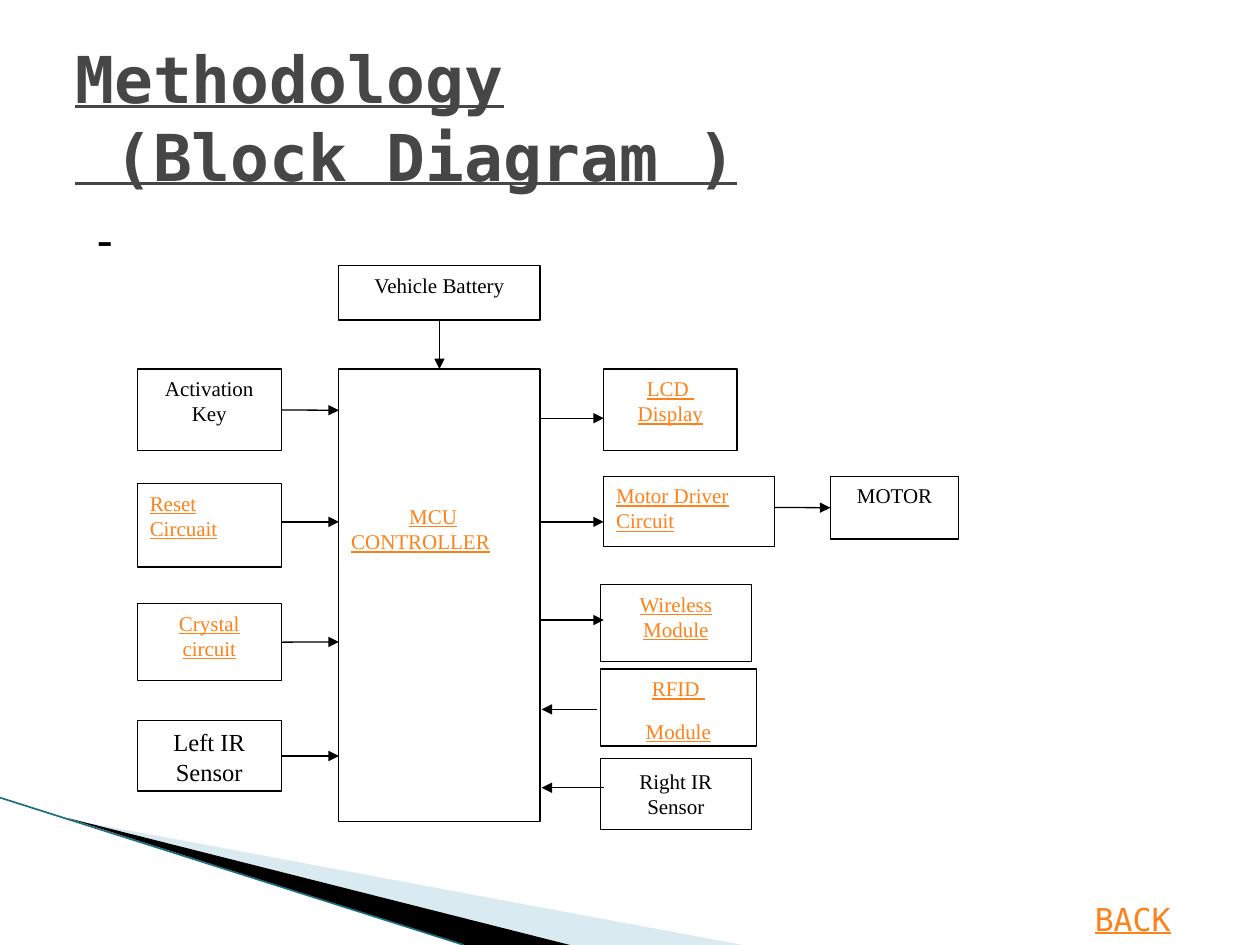
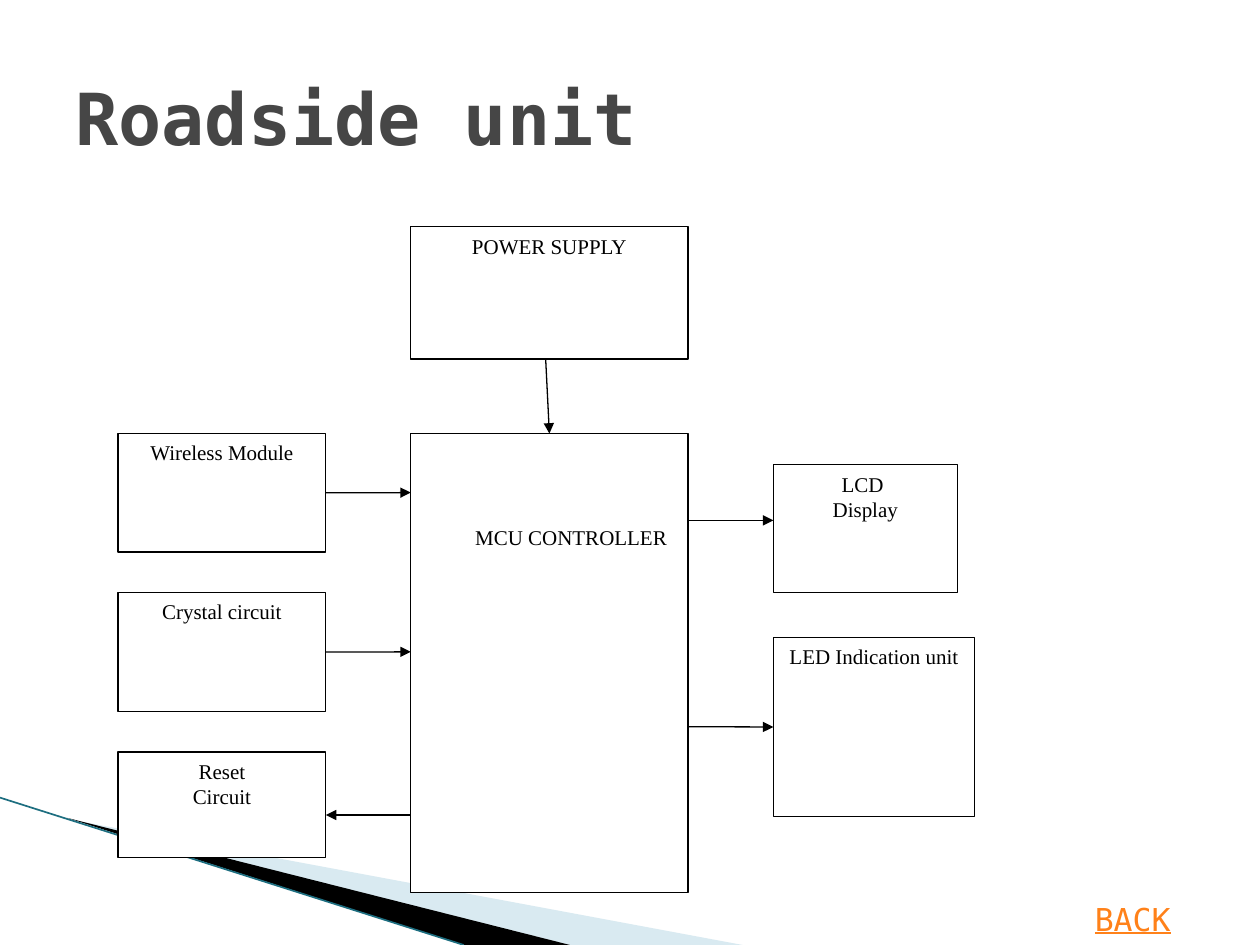
from dataclasses import dataclass

from lxml import etree
from pptx import Presentation
from pptx import util as u
from pptx.dml.color import RGBColor
from pptx.enum import shapes, text
from pptx.oxml.ns import qn

TOP, LEFT, BOTTOM, RIGHT = range(4)


@dataclass(frozen=True)
class Theme:
    ink: str = "000000"
    paper: str = "FFFFFF"
    heading: str = "464646"
    accent: str = "FF8119"
    band_light: str = "A0CBDC"
    band_edge: str = "1D6E80"
    mono: str = "DejaVu Sans Mono"
    serif: str = "Times New Roman"
    title_size: float = 41
    long_title_size: float = 36.9
    dash_size: float = 27
    back_size: float = 18
    sensor_size: float = 14
    label_size: float = 12
    line_width: float = 0.75
    hairline: float = 0.25
    edge_width: float = 0.95


THEME = Theme()
LINKED = dict(color=THEME.accent, underline=True)
CONTROLLER = "MCU CONTROLLER"


def lengths(*values):
    return [u.Cm(value) for value in values]


def write(frame, words, font=THEME.serif, size=THEME.label_size, color=THEME.ink,
          bold=False, underline=False, align=text.PP_ALIGN.LEFT,
          anchor=text.MSO_ANCHOR.TOP, after=0, indent=0, inset_top=0.13):
    frame.word_wrap = True
    frame.vertical_anchor = anchor
    frame.margin_left = frame.margin_right = u.Cm(0.25)
    frame.margin_top, frame.margin_bottom = lengths(inset_top, 0.13)
    for number, line in enumerate(words.split("\n")):
        para = frame.add_paragraph() if number else frame.paragraphs[0]
        para.alignment = align
        para.space_after = u.Pt(after)
        if indent:
            para._p.get_or_add_pPr().set("indent", str(u.Cm(indent)))
        span = para.add_run()
        span.text = line
        span.font.name = font
        span.font.size = u.Pt(size)
        span.font.bold = bold
        span.font.underline = underline
        span.font.color.rgb = RGBColor.from_string(color)


def add_label(page, place, words, **style):
    box = page.shapes.add_textbox(*lengths(*place))
    write(box.text_frame, words, font=THEME.mono, **style)


def add_title(page, words, **style):
    add_label(page, (1.27, 0.76, 22.86, 3.18), words, color=THEME.heading,
              bold=True, anchor=text.MSO_ANCHOR.MIDDLE, **style)


def add_block(page, place, words, width=THEME.line_width,
              align=text.PP_ALIGN.CENTER, **style):
    box = page.shapes.add_shape(shapes.MSO_SHAPE.RECTANGLE, *lengths(*place))
    box.shadow.inherit = False
    box.fill.solid()
    box.fill.fore_color.rgb = RGBColor.from_string(THEME.paper)
    box.line.color.rgb = RGBColor.from_string(THEME.ink)
    box.line.width = u.Pt(width)
    write(box.text_frame, words, align=align, **style)
    return box


def add_line(page, start, end, color=THEME.ink, width=THEME.line_width):
    line = page.shapes.add_connector(
        shapes.MSO_CONNECTOR.STRAIGHT, *lengths(*start, *end))
    line.line.color.rgb = RGBColor.from_string(color)
    line.line.width = u.Pt(width)
    etree.SubElement(line._element.spPr, qn("a:effectLst"))
    return line


def add_arrow(page, start, end):
    joins = {}
    points = []
    for name, place in (("begin", start), ("end", end)):
        if isinstance(place[0], (int, float)):
            points.append(place)
        else:
            joins[name] = place
            points.append((0, 0))
    arrow = add_line(page, *points)
    if "begin" in joins:
        arrow.begin_connect(*joins["begin"])
    if "end" in joins:
        arrow.end_connect(*joins["end"])
    etree.SubElement(arrow.line._get_or_add_ln(), qn("a:tailEnd"), type="triangle")


def add_wedge(page, points, color, opacity=100):
    first, *others = [tuple(lengths(*point)) for point in points]
    builder = page.shapes.build_freeform(*first)
    builder.add_line_segments(others, close=True)
    wedge = builder.convert_to_shape()
    wedge.shadow.inherit = False
    wedge.line.fill.background()
    wedge.fill.solid()
    wedge.fill.fore_color.rgb = RGBColor.from_string(color)
    if opacity < 100:
        tone = wedge._element.spPr.find(qn("a:solidFill"))[0]
        etree.SubElement(tone, qn("a:alpha"), val=str(opacity * 1000))


def add_page(deck, title, **style):
    page = deck.slides.add_slide(deck.slide_layouts[6])
    add_wedge(page, [(1.4, 16.52), (14.97, 19.05), (11.49, 19.05)],
              THEME.band_light, opacity=40)
    add_wedge(page, [(1.36, 16.49), (11.49, 19.05), (9.35, 19.05)], THEME.ink)
    add_line(page, (0, 16.08), (9.35, 19.05), THEME.band_edge, THEME.edge_width)
    add_title(page, title, **style)
    add_label(page, (21.82, 18.02, 3.58, 1.02), "BACK", size=THEME.back_size, **LINKED)
    return page


def add_vehicle_unit(deck):
    page = add_page(deck, "Methodology\n (Block Diagram )",
                    size=THEME.long_title_size, underline=True)
    add_label(page, (1.58, 4.11, 2, 1.4), "-", size=THEME.dash_size)

    left, width, core_left, core_right = 2.77, 2.9, 6.83, 10.89
    controller = add_block(page, (core_left, 7.44, 4.06, 9.12), CONTROLLER,
                           align=text.PP_ALIGN.LEFT, indent=1.17, inset_top=2.71,
                           **LINKED)
    battery = add_block(page, (core_left, 5.36, 4.06, 1.09), "Vehicle Battery")
    key = add_block(page, (left, 7.44, width, 1.65), "Activation\nKey")
    add_block(page, (left, 9.75, width, 1.68), "Reset Circuait",
              align=text.PP_ALIGN.LEFT, **LINKED)
    crystal = add_block(page, (left, 12.17, width, 1.55), "Crystal circuit", **LINKED)
    left_sensor = add_block(page, (left, 14.53, width, 1.42), "Left IR Sensor",
                            size=THEME.sensor_size)
    add_block(page, (12.17, 7.44, 2.69, 1.65), "LCD \nDisplay", **LINKED)
    add_block(page, (12.17, 9.6, 3.45, 1.42), "Motor Driver Circuit",
              align=text.PP_ALIGN.LEFT, **LINKED)
    motor = add_block(page, (16.74, 9.6, 2.59, 1.27), "MOTOR")
    add_block(page, (12.1, 11.79, 3.05, 1.55), "Wireless Module", **LINKED)
    add_block(page, (12.1, 13.49, 3.15, 1.55), "RFID \nModule", after=10, **LINKED)
    add_block(page, (12.1, 15.29, 3.05, 1.42), "Right IR Sensor",
              width=THEME.hairline, anchor=text.MSO_ANCHOR.MIDDLE)

    add_arrow(page, (battery, BOTTOM), (controller, TOP))
    for source, height in ((key, 8.27), (crystal, 12.94), (left_sensor, 15.24)):
        add_arrow(page, (source, RIGHT), (core_left, height))
    add_arrow(page, (left + width, 10.52), (core_left, 10.52))
    for height in (8.43, 10.52, 12.5):
        add_arrow(page, (core_right, height), (12.17, height))
    for start, height in ((12.04, 14.3), (12.17, 15.88)):
        add_arrow(page, (start, height), (core_right + 0.03, height))
    add_arrow(page, (15.62, 10.23), (motor, LEFT))


def add_roadside_unit(deck):
    page = add_page(deck, "Roadside unit", size=THEME.title_size)

    left, width, core_left, core_right, right = 2.38, 4.19, 8.28, 13.87, 15.59
    controller = add_block(page, (core_left, 8.74, 5.59, 9.25), CONTROLLER,
                           align=text.PP_ALIGN.LEFT, indent=1.05, inset_top=1.83)
    add_block(page, (core_left, 4.57, 5.59, 2.67), "POWER SUPPLY")
    wireless = add_block(page, (left, 8.74, width, 2.39), "Wireless Module")
    crystal = add_block(page, (left, 11.94, width, 2.41), "Crystal circuit")
    add_block(page, (left, 15.16, width, 2.13), "Reset\nCircuit")
    add_block(page, (right, 9.37, 3.71, 2.57), "LCD \nDisplay")
    indicator = add_block(page, (right, 12.85, 4.06, 3.61), "LED Indication unit")

    add_arrow(page, (11, 7.24), (controller, TOP))
    add_arrow(page, (wireless, RIGHT), (core_left, 9.93))
    add_arrow(page, (crystal, RIGHT), (core_left, 13.14))
    add_arrow(page, (core_left, 16.43), (left + width, 16.43))
    add_arrow(page, (core_right, 10.49), (right, 10.49))
    add_arrow(page, (core_right, 14.65), (indicator, LEFT))


def main():
    deck = Presentation()
    deck.slide_width, deck.slide_height = lengths(25.4, 19.05)
    add_vehicle_unit(deck)
    add_roadside_unit(deck)
    deck.save("out.pptx")


if __name__ == "__main__":
    main()
